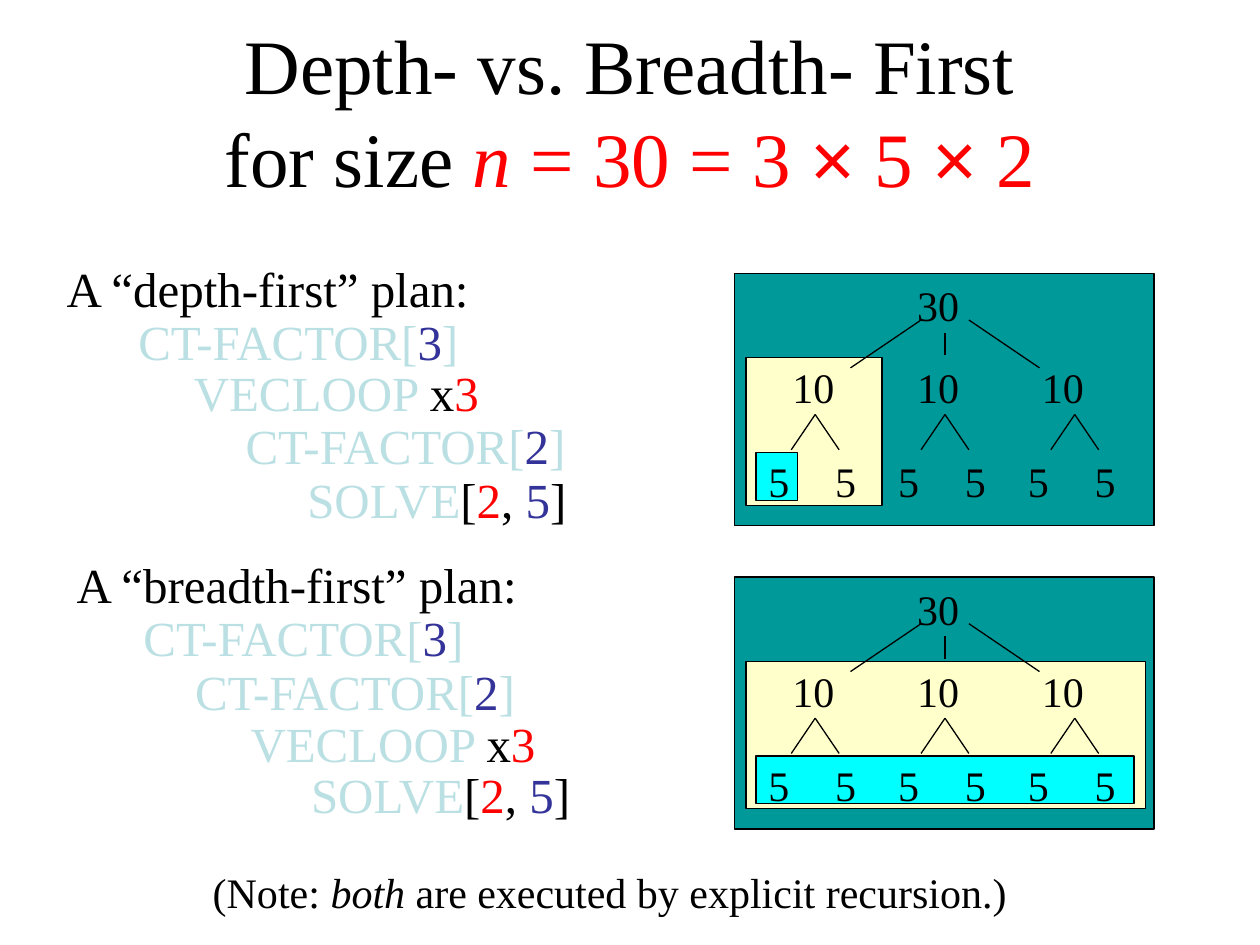
from pptx import Presentation
from pptx.dml.color import RGBColor
from pptx.enum.shapes import MSO_CONNECTOR as Connector, MSO_SHAPE as Shape
from pptx.enum.text import MSO_ANCHOR as Anchor, PP_ALIGN as Align
from pptx.oxml.ns import qn
from pptx.util import Inches, Pt
from lxml.etree import SubElement

BLACK, RED, BLUE, PALE = "000000", "FF0000", "333399", "BBE0E3"
TEAL, CREAM, CYAN = "009999", "FFFFCC", "00FFFF"
SERIF, SANS = "Times New Roman", "Arial"

# Content: a run is (text, colour, optional font, optional italic)
TITLE = [
    [("Depth- vs. Breadth- First", BLACK)],
    [("for size ", BLACK), ("n", RED, SERIF, True), (" = 30 = 3 ", RED),
     ("×", RED, SANS), (" 5 ", RED), ("×", RED, SANS), (" 2", RED)],
]
NOTE = [("(Note: ", BLACK), ("both", BLACK, SERIF, True),
        (" are executed by explicit recursion.)", BLACK)]


def factor(number):
    return [("CT-FACTOR[", PALE), (number, BLUE), ("]", PALE)]


LOOP = [("VECLOOP ", PALE), ("x", BLACK), ("3", RED)]
SOLVE = [("SOLVE", PALE), ("[", BLACK), ("2", RED), (", ", BLACK),
         ("5", BLUE), ("]", BLACK)]

# Plan lines: left, top, width, runs
PLAN_LINES = [
    (0.43, 2.00, 3.39, [("A “depth-first” plan:", BLACK)]),
    (1.00, 2.42, 2.81, factor("3")),
    (1.44, 2.83, 2.47, LOOP),
    (1.85, 3.25, 2.81, factor("2")),
    (2.34, 3.68, 2.29, SOLVE),
    (0.51, 4.35, 3.69, [("A “breadth-first” plan:", BLACK)]),
    (1.04, 4.77, 2.81, factor("3")),
    (1.45, 5.20, 2.81, factor("2")),
    (1.89, 5.61, 2.47, LOOP),
    (2.37, 6.02, 2.29, SOLVE),
]
# Tree panels: top, width of the cream step, width of the cyan step
PANELS = [(2.17, 1.08, 0.33), (4.58, 3.17, 3.00)]
ROOT, BRANCH, LEAF = "30", "10", "5"
BRANCHES = 3
CENTER = 7.5
BRANCH_GAP, LEAF_GAP = 0.99, 1.03


def color(value):
    return RGBColor.from_string(value)


def add_runs(para, runs, size):
    for text, shade, *style in runs:
        span = para.add_run()
        span.text = text
        span.font.size = Pt(size)
        span.font.color.rgb = color(shade)
        span.font.name = style[0] if style else SERIF
        span.font.italic = len(style) > 1


def add_label(shapes, left, top, width, height, runs, size):
    box = shapes.add_textbox(Inches(left), Inches(top),
                             Inches(width), Inches(height))
    box.text_frame.word_wrap = False
    add_runs(box.text_frame.paragraphs[0], runs, size)


def add_panel(shapes, left, top, width, height, fill):
    panel = shapes.add_shape(Shape.RECTANGLE, Inches(left), Inches(top),
                             Inches(width), Inches(height))
    panel.shadow.inherit = False
    panel.fill.solid()
    panel.fill.fore_color.rgb = color(fill)
    panel.line.color.rgb = color(BLACK)
    panel.line.width = Pt(0.75)


def add_edge(shapes, *ends):
    edge = shapes.add_connector(Connector.STRAIGHT, *map(Inches, ends))
    edge.line.color.rgb = color(BLACK)
    edge.line.width = Pt(0.75)
    SubElement(edge._element.spPr, qn("a:effectLst"))


def add_tree(page, top):
    shapes = page.shapes.add_group_shape().shapes

    def node(text, left, down, width):
        add_label(shapes, left, top + down, width, 0.5, [(text, BLACK)], 24)

    # Root and its three edges
    node(ROOT, 7.18, 0, 0.53)
    add_edge(shapes, CENTER, top + 0.47, CENTER, top + 0.65)
    for side in (-1, 1):
        add_edge(shapes, CENTER + side * 0.19, top + 0.37,
                 CENTER + side * 0.75, top + 0.75)

    # Branches, each with two leaves
    for index in range(BRANCHES):
        step = index - BRANCHES // 2
        node(BRANCH, 7.18 + step * BRANCH_GAP, 0.65, 0.53)
        apex = CENTER + step * LEAF_GAP
        for side, leaf_left in ((-1, -0.47), (1, 0.06)):
            node(LEAF, apex + leaf_left, 1.4, 0.36)
            add_edge(shapes, apex, top + 1.12, apex + side * 0.19, top + 1.4)


def main():
    deck = Presentation()
    deck.slide_width, deck.slide_height = Inches(10), Inches(7.5)
    page = deck.slides.add_slide(deck.slide_layouts[6])

    # Title
    box = page.shapes.add_textbox(Inches(0.75), Inches(0.25),
                                  Inches(8.5), Inches(1.25))
    box.text_frame.word_wrap = True
    box.text_frame.vertical_anchor = Anchor.MIDDLE
    para = box.text_frame.paragraphs[0]
    para.alignment = Align.CENTER
    for number, runs in enumerate(TITLE):
        if number:
            para.add_line_break()
        add_runs(para, runs, 44)

    # Plans and note
    for left, top, width, runs in PLAN_LINES:
        add_label(page.shapes, left, top, width, 0.57, runs, 28)
    add_label(page.shapes, 1.59, 6.83, 6.5, 0.5, NOTE, 24)

    # Recursion trees on nested panels
    for top, cream_width, cyan_width in PANELS:
        add_panel(page.shapes, 5.83, top, 3.33, 2, TEAL)
        add_panel(page.shapes, 5.92, top + 0.67, cream_width, 1.17, CREAM)
        add_panel(page.shapes, 6, top + 1.42, cyan_width, 0.38, CYAN)
        add_tree(page, top)

    deck.save("out.pptx")


if __name__ == "__main__":
    main()
